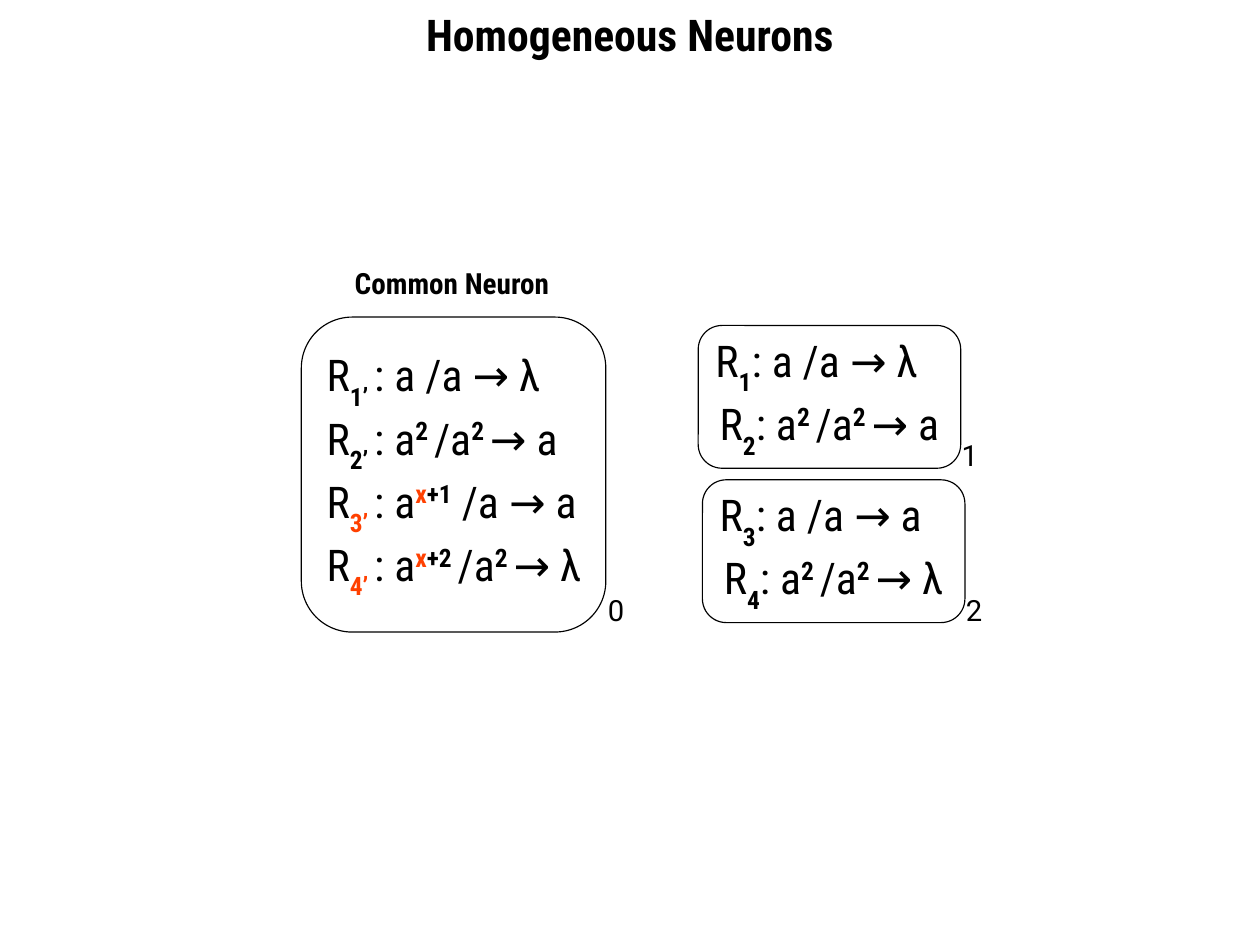
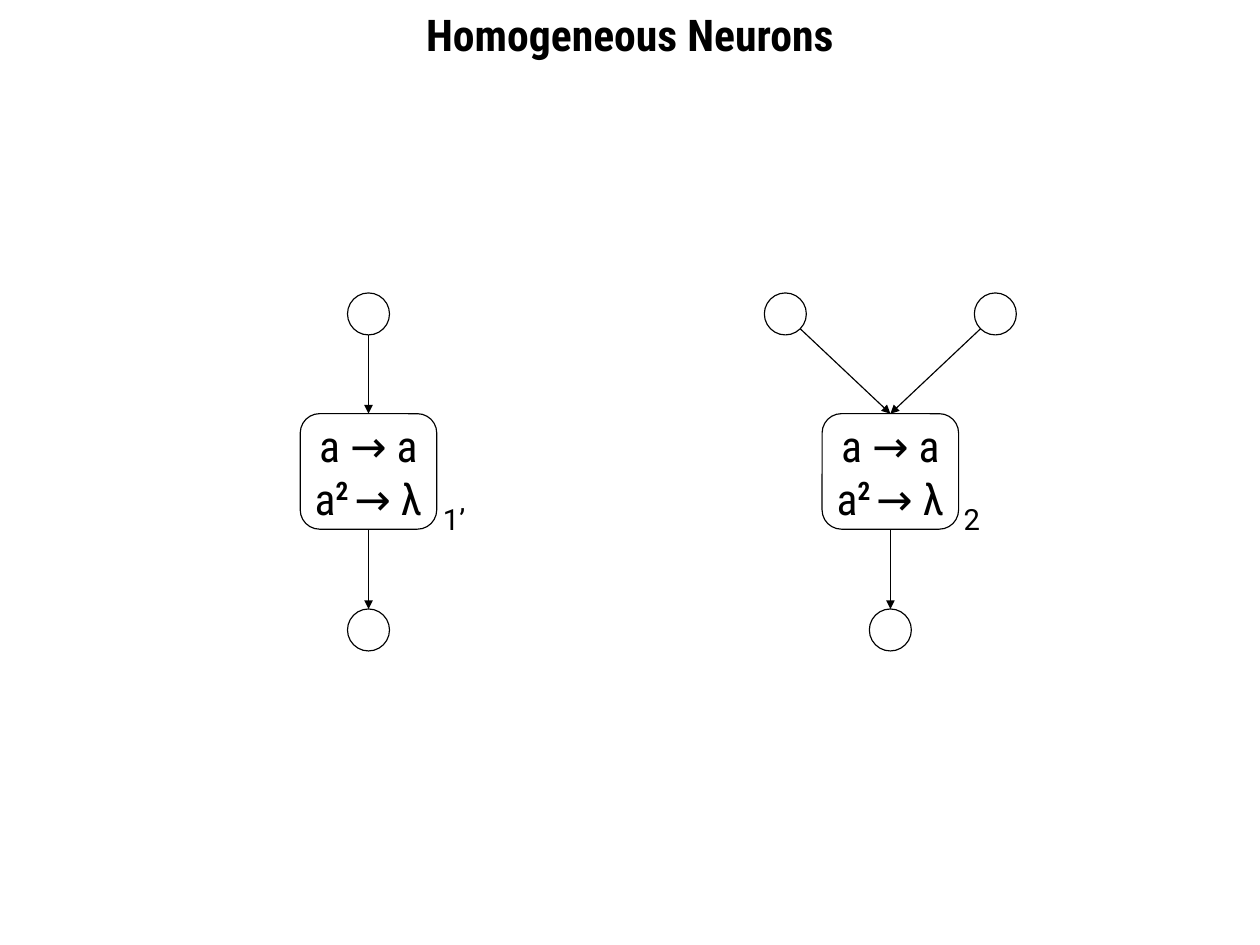
import math

from lxml import etree
from pptx import Presentation
from pptx.dml.color import RGBColor
from pptx.enum import shapes, text
from pptx.oxml import ns
from pptx.util import Inches, Pt

BLACK = RGBColor(0x00, 0x00, 0x00)
ORANGE = RGBColor(0xFF, 0x40, 0x00)
CONDENSED = "Roboto Condensed"
REGULAR = "Roboto"
LEFT, CENTER = text.PP_ALIGN.LEFT, text.PP_ALIGN.CENTER
LINE_WIDTH = Pt(0.79)
CORNER = 0.167

TITLE = "Homogeneous Neurons"


def plain(words):
    return words, 0, BLACK


def sub(words, color=BLACK):
    return words, -33000, color


def sup(words, color=BLACK):
    return words, 33000, color


SQUARE = [plain("a"), sup("2 ")]
SQUARE_BY_SQUARE = [plain(": a"), sup("2 "), plain("/a"), sup("2 ")]

# Each neuron: box (left, top, width, height), rules (alignment, runs),
# label and label position
RULE_NEURONS = [
    ((6.65, 3.1, 2.5, 1.36), [
        (LEFT, [plain("R"), sub("1"), plain(": a /a → λ")]),
        (CENTER, [plain("R"), sub("2"), *SQUARE_BY_SQUARE, plain("→ a")]),
    ], "1", (9.06, 4.12)),
    ((6.69, 4.57, 2.5, 1.36), [
        (LEFT, [plain("R"), sub("3"), plain(": a /a → a")]),
        (CENTER, [plain("R"), sub("4"), *SQUARE_BY_SQUARE, plain("→ λ")]),
    ], "2", (9.1, 5.59)),
    ((2.87, 3.02, 2.9, 3), [
        (LEFT, [plain("R"), sub("1’ "), plain(": a /a → λ")]),
        (LEFT, [plain("R"), sub("2’ "), *SQUARE_BY_SQUARE, plain("→ a")]),
        (LEFT, [plain("R"), sub("3’ ", ORANGE), plain(": a"),
                sup("x", ORANGE), sup("+1"), plain(" /a → a")]),
        (LEFT, [plain("R"), sub("4’ ", ORANGE), plain(": a"),
                sup("x", ORANGE), sup("+2 "), plain("/a"), sup("2 "),
                plain("→ λ")]),
    ], "0", (5.69, 5.59)),
]
COMMON_HEADING = "Common Neuron", (3.28, 2.48), 2.1

NETWORK_RULES = [
    (CENTER, [plain("a → a")]),
    (CENTER, [*SQUARE, plain("→ λ")]),
]
# Each network: neuron centre, offsets of its input circles, label, label left
NETWORKS = [
    (3.51, [0], "1’", 4.12),
    (8.48, [-1, 1], "2", 9.08),
]
NEURON_TOP, NEURON_WIDTH, NEURON_HEIGHT = 3.94, 1.3, 1.1
INPUT_Y, OUTPUT_Y, RADIUS = 2.99, 6, 0.2
NETWORK_LABEL_TOP = 4.73


def style_font(font, size, name, color=BLACK, bold=False):
    font.size = Pt(size)
    font.name = name
    font.bold = bold
    font.color.rgb = color


def add_titled_slide(presentation):
    slide = presentation.slides.add_slide(presentation.slide_layouts[5])
    title = slide.shapes.title
    title.left, title.top = Inches(0), Inches(0.02)
    title.width, title.height = Inches(12), Inches(0.65)
    frame = title.text_frame
    frame.text = TITLE
    frame.auto_size = text.MSO_AUTO_SIZE.NONE
    frame.vertical_anchor = text.MSO_ANCHOR.TOP
    frame.paragraphs[0].alignment = CENTER
    style_font(frame.paragraphs[0].runs[0].font, 30, CONDENSED, bold=True)
    return slide


def add_label(slide, words, position, width=0.5, name=REGULAR, bold=False):
    left, top = position
    box = slide.shapes.add_textbox(
        Inches(left), Inches(top), Inches(width), Inches(0.47))
    frame = box.text_frame
    frame.word_wrap = True
    frame.text = words
    style_font(frame.paragraphs[0].runs[0].font, 20, name, bold=bold)


def add_outline(slide, kind, box):
    shape = slide.shapes.add_shape(kind, *map(Inches, box))
    shape.shadow.inherit = False
    shape.fill.background()
    shape.line.color.rgb = BLACK
    shape.line.width = LINE_WIDTH
    return shape


def add_circle(slide, x, y):
    box = (x - RADIUS, y - RADIUS, 2 * RADIUS, 2 * RADIUS)
    return add_outline(slide, shapes.MSO_SHAPE.OVAL, box)


def add_neuron(slide, box, rules):
    neuron = add_outline(slide, shapes.MSO_SHAPE.ROUNDED_RECTANGLE, box)
    neuron.adjustments[0] = CORNER
    frame = neuron.text_frame
    frame.word_wrap = False
    frame.vertical_anchor = text.MSO_ANCHOR.MIDDLE
    for index, (alignment, runs) in enumerate(rules):
        paragraph = frame.add_paragraph() if index else frame.paragraphs[0]
        paragraph.alignment = alignment
        for words, baseline, color in runs:
            run = paragraph.add_run()
            run.text = words
            style_font(run.font, 30, CONDENSED, color, bold=baseline != 0)
            if baseline:
                run.font._element.set("baseline", str(baseline))
    return neuron


def add_arrow(slide, start, end, target):
    """Draw an arrow whose end is attached to the top of the target."""
    arrow = slide.shapes.add_connector(
        shapes.MSO_CONNECTOR.STRAIGHT, *map(Inches, (*start, *end)))
    arrow.end_connect(target, 0)
    arrow.line.color.rgb = BLACK
    arrow.line.width = LINE_WIDTH
    etree.SubElement(arrow.line._get_or_add_ln(), ns.qn("a:tailEnd"),
                     type="triangle")
    etree.SubElement(arrow._element.spPr, ns.qn("a:effectLst"))
    return arrow


def add_network(slide, center, offsets, label, label_left):
    box = (center - NEURON_WIDTH / 2, NEURON_TOP, NEURON_WIDTH, NEURON_HEIGHT)
    neuron = add_neuron(slide, box, NETWORK_RULES)
    add_label(slide, label, (label_left, NETWORK_LABEL_TOP))
    for offset in offsets:
        add_circle(slide, center + offset, INPUT_Y)
        angle = math.radians(90 + 45 * offset)
        start = (center + offset + RADIUS * math.cos(angle),
                 INPUT_Y + RADIUS * math.sin(angle))
        add_arrow(slide, start, (center, NEURON_TOP), neuron)
    output = add_circle(slide, center, OUTPUT_Y)
    arrow = add_arrow(slide, (center, NEURON_TOP + NEURON_HEIGHT),
                      (center, OUTPUT_Y - RADIUS), output)
    arrow.begin_connect(neuron, 2)


def main():
    presentation = Presentation()
    presentation.slide_width, presentation.slide_height = Inches(12), Inches(9)

    rules_slide = add_titled_slide(presentation)
    for box, rules, label, label_position in RULE_NEURONS:
        add_neuron(rules_slide, box, rules)
        add_label(rules_slide, label, label_position)
    add_label(rules_slide, *COMMON_HEADING, name=CONDENSED, bold=True)

    networks_slide = add_titled_slide(presentation)
    for network in NETWORKS:
        add_network(networks_slide, *network)

    presentation.save("out.pptx")


if __name__ == "__main__":
    main()
